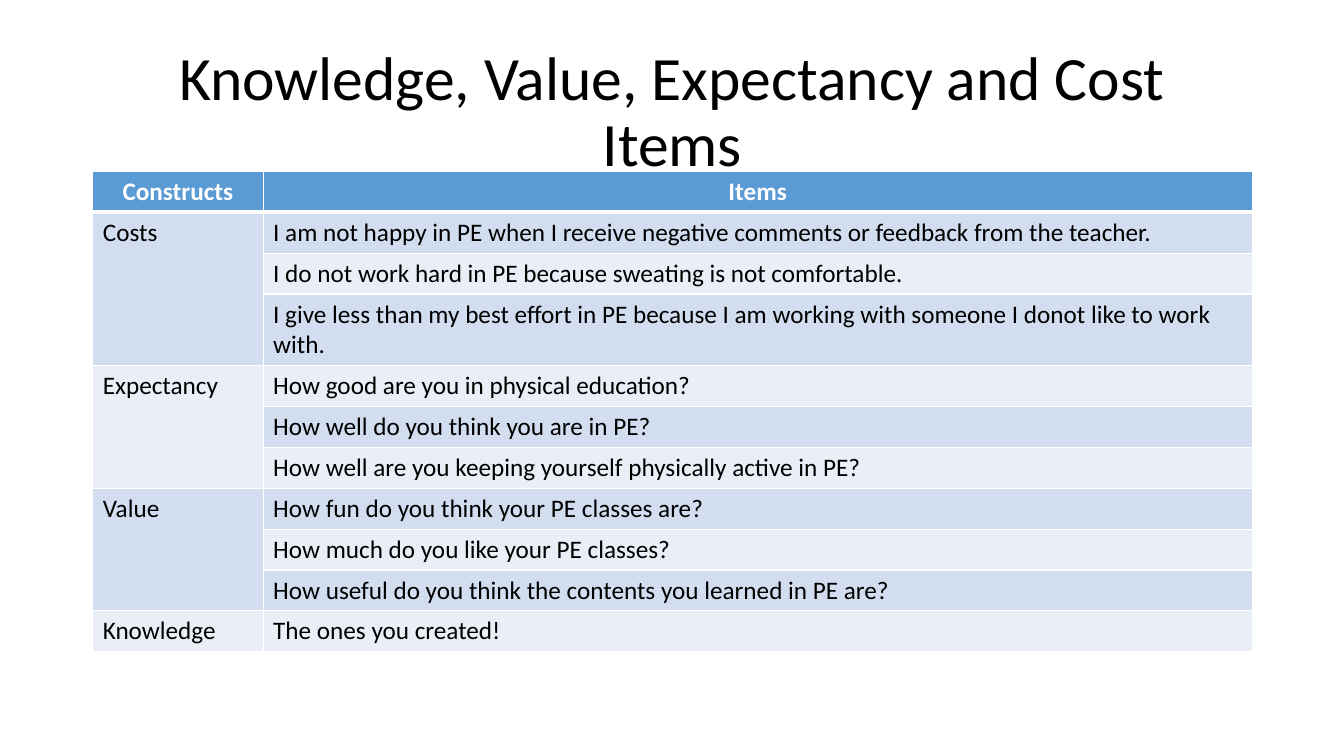
"""Build a slide with a table of survey items grouped by construct."""
from dataclasses import dataclass

from lxml import etree
from pptx import Presentation
from pptx.dml.color import RGBColor
from pptx.enum.text import MSO_ANCHOR, MSO_AUTO_SIZE, PP_ALIGN
from pptx.oxml.ns import qn
from pptx.util import Inches, Pt


@dataclass(frozen=True)
class Theme:
    font: str = "Calibri"
    title_size: int = 44
    table_size: int = 18
    text: str = "000000"
    header_text: str = "FFFFFF"
    header_fill: str = "5B9BD5"
    bands: tuple = ("D2DEEF", "EAEFF7")
    border: str = "FFFFFF"
    thin: int = 1
    thick: int = 3


HEADERS = ("Constructs", "Items")
CONSTRUCTS = {
    "Costs": (
        "I am not happy in PE when I receive negative comments or feedback from the teacher.",
        "I do not work hard in PE because sweating is not comfortable.",
        "I give less than my best effort in PE because I am working with someone I donot like to work with.",
    ),
    "Expectancy": (
        "How good are you in physical education?",
        "How well do you think you are in PE?",
        "How well are you keeping yourself physically active in PE?",
    ),
    "Value": (
        "How fun do you think your PE classes are?",
        "How much do you like your PE classes?",
        "How useful do you think the contents you learned in PE are?",
    ),
    "Knowledge": ("The ones you created!",),
}


class SlideBuilder:
    def __init__(self, prs, theme):
        self.theme = theme
        self.slide = prs.slides.add_slide(prs.slide_layouts[5])

    def style(self, p, size, color, align, bold=False):
        p.alignment = align
        p.font.name = self.theme.font
        p.font.size = Pt(size)
        p.font.bold = bold
        p.font.color.rgb = RGBColor.from_string(color)

    def title(self, text, left, top, width, height):
        sp = self.slide.shapes.title
        sp.left, sp.top = Inches(left), Inches(top)
        sp.width, sp.height = Inches(width), Inches(height)
        tf = sp.text_frame
        tf.text = text
        tf.word_wrap = True
        tf.auto_size = MSO_AUTO_SIZE.NONE
        tf.vertical_anchor = MSO_ANCHOR.MIDDLE
        p = tf.paragraphs[0]
        p.line_spacing = 0.9
        self.style(p, self.theme.title_size, self.theme.text, PP_ALIGN.CENTER)

    def borders(self, cell, top, bottom):
        tc_pr = cell._tc.get_or_add_tcPr()
        thin = self.theme.thin
        for side, width in zip("LRTB", (thin, thin, top, bottom)):
            ln = etree.SubElement(tc_pr, qn(f"a:ln{side}"), w=str(Pt(width)))
            fill = etree.SubElement(ln, qn("a:solidFill"))
            etree.SubElement(fill, qn("a:srgbClr"), val=self.theme.border)

    def format_cell(self, cell, row):
        t = self.theme
        header = row == 0
        self.borders(cell, t.thick if row == 1 else t.thin, t.thick if header else t.thin)
        cell.fill.solid()
        fill = t.header_fill if header else t.bands[(row - 1) % 2]
        cell.fill.fore_color.rgb = RGBColor.from_string(fill)
        self.style(
            cell.text_frame.paragraphs[0],
            t.table_size,
            t.header_text if header else t.text,
            PP_ALIGN.CENTER if header else PP_ALIGN.LEFT,
            header,
        )

    def table(self, headers, groups, left, top, col_widths, row_height):
        n_rows = 1 + sum(len(items) for items in groups.values())
        frame = self.slide.shapes.add_table(
            n_rows, len(headers), Inches(left), Inches(top),
            Inches(sum(col_widths)), Inches(row_height * n_rows),
        )
        table = frame.table
        for column, width in zip(table.columns, col_widths):
            column.width = Inches(width)
        for col, text in enumerate(headers):
            table.cell(0, col).text = text
        row = 1
        for construct, items in groups.items():
            table.cell(row, 0).text = construct
            for offset, item in enumerate(items):
                table.cell(row + offset, 1).text = item
            if len(items) > 1:
                table.cell(row, 0).merge(table.cell(row + len(items) - 1, 0))
            row += len(items)
        for row in range(n_rows):
            for col in range(len(headers)):
                self.format_cell(table.cell(row, col), row)
        return table


def main():
    prs = Presentation()
    prs.slide_width, prs.slide_height = Inches(13.33), Inches(7.5)
    s = SlideBuilder(prs, Theme())
    s.title("Knowledge, Value, Expectancy and Cost Items", 0.92, 0.4, 11.5, 1.45)
    table = s.table(HEADERS, CONSTRUCTS, 0.92, 1.7, (1.69, 9.81), 0.4)
    table.rows[3].height = Inches(0.71)
    prs.save("out.pptx")


if __name__ == "__main__":
    main()
